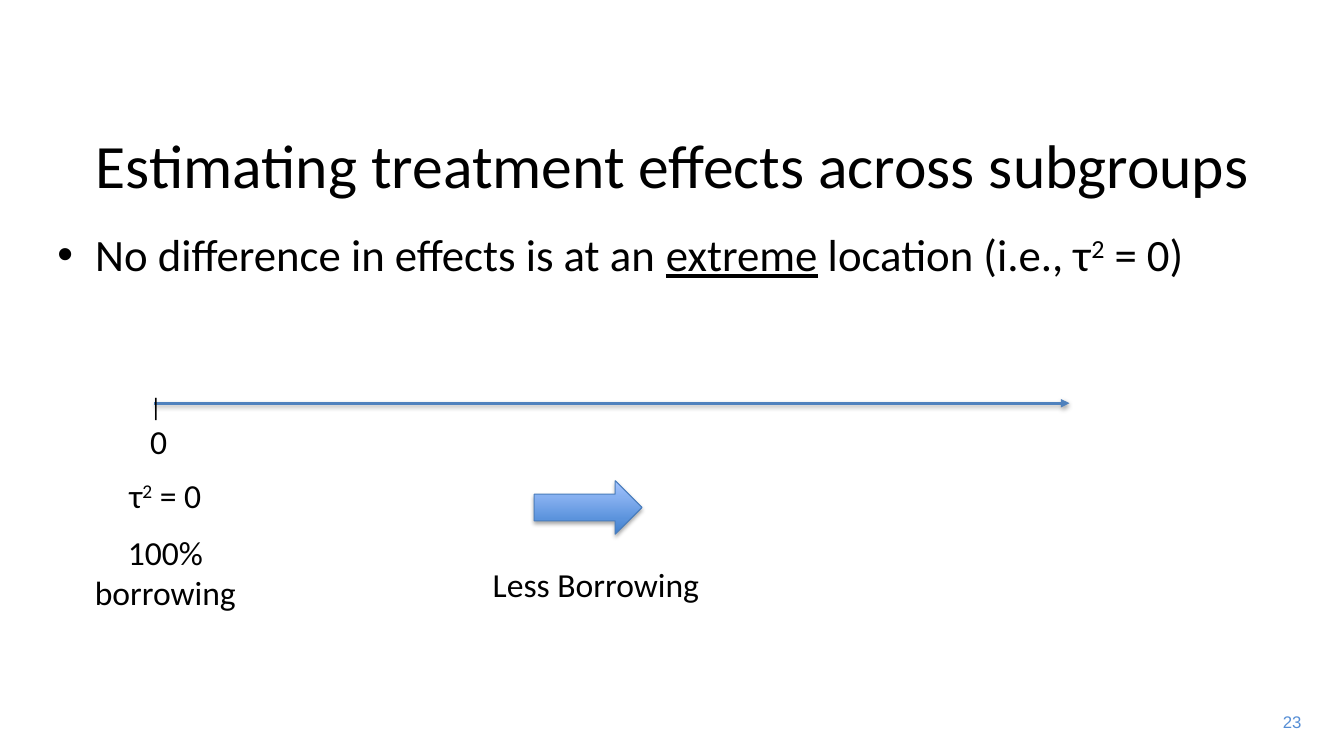
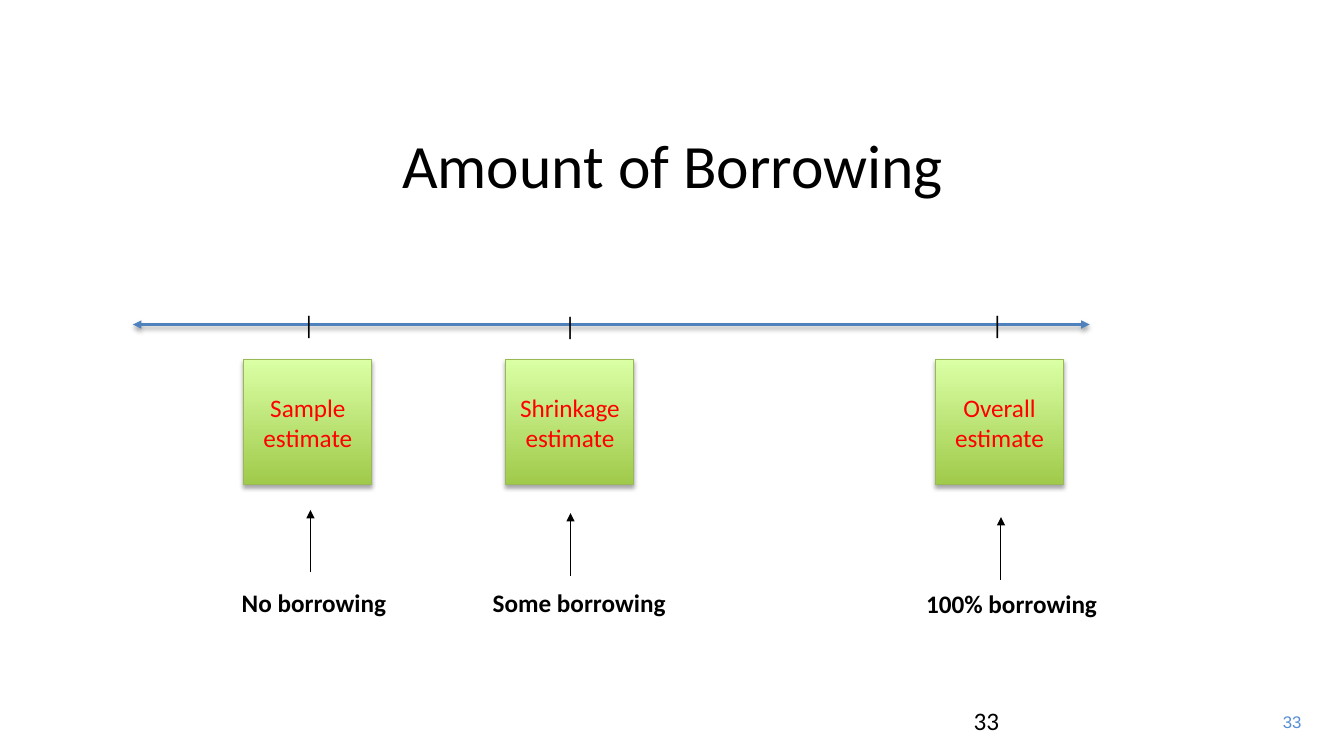
"""Build two slides on borrowing strength across subgroup estimates."""
from dataclasses import dataclass

import lxml.etree
import pptx
import pptx.dml.color
import pptx.enum.shapes
import pptx.enum.text
import pptx.oxml.ns
import pptx.presentation
import pptx.shapes.autoshape
import pptx.shapes.base
import pptx.shapes.connector
import pptx.slide
import pptx.text.text
import pptx.util

Pt = pptx.util.Pt
RGBColor = pptx.dml.color.RGBColor
ALIGN = pptx.enum.text.PP_ALIGN
MIDDLE = pptx.enum.text.MSO_ANCHOR.MIDDLE
SHAPE = pptx.enum.shapes.MSO_SHAPE
qn = pptx.oxml.ns.qn

BLACK = RGBColor(0x00, 0x00, 0x00)
RED = RGBColor(0xFF, 0x00, 0x00)
PAGE_BLUE = RGBColor(0x55, 0x8E, 0xD5)
AXIS_BLUE = RGBColor(0x4F, 0x81, 0xBD)
ARROW_DARK = RGBColor(0x3F, 0x80, 0xCE)
ARROW_LIGHT = RGBColor(0xA4, 0xC4, 0xFF)
ARROW_EDGE = RGBColor(0x4B, 0x7E, 0xBC)
BOX_DARK = RGBColor(0xA0, 0xCA, 0x4A)
BOX_LIGHT = RGBColor(0xDA, 0xFF, 0xA5)
BOX_EDGE = RGBColor(0x98, 0xB9, 0x55)


@dataclass(frozen=True)
class Area:
    left: float
    top: float
    width: float
    height: float

    def lengths(self) -> tuple[pptx.util.Length, ...]:
        return Pt(self.left), Pt(self.top), Pt(self.width), Pt(self.height)


@dataclass(frozen=True)
class Run:
    text: str
    underline: bool = False
    raised: bool = False


@dataclass(frozen=True)
class Style:
    size: float
    color: RGBColor = BLACK
    font: str = "Calibri"
    bold: bool = False
    align: ALIGN = ALIGN.LEFT


@dataclass(frozen=True)
class Estimate:
    lines: tuple[str, ...]
    box_left: float
    tick: Area
    tick_wraps: bool
    arrow_x: float
    arrow_top: float
    caption: str
    caption_area: Area


TITLE_AREA = Area(33.84, 80.64, 893.52, 72.72)
BODY_AREA = Area(33.84, 158.4, 893.52, 337.7)
PAGE_AREA = Area(907.2, 504.7, 29.5, 21.6)
BOX_TOP, BOX_WIDTH, BOX_HEIGHT = 257, 91.5, 89.3
ARROW_LENGTH = 44.6

TITLE = Style(44, align=ALIGN.CENTER)
BODY = Style(32)
LABEL = Style(24)
CENTERED_LABEL = Style(24, align=ALIGN.CENTER)
SMALL = Style(18)
CAPTION = Style(18, bold=True)
BOX_TEXT = Style(18, RED, align=ALIGN.CENTER)
PAGE = Style(12, PAGE_BLUE, "Arial", align=ALIGN.RIGHT)

ESTIMATES = (
    Estimate(("Sample estimate",), 174.2, Area(209.5, 217.4, 20.9, 29), True,
             221.8, 364.3, "No borrowing", Area(165.6, 416.2, 139.7, 29)),
    Estimate(("Shrinkage estimate",), 361.4, Area(396, 218.2, 23, 29), False,
             407.5, 366.5, "Some borrowing", Area(344.9, 416.2, 158.4, 29)),
    Estimate(("Overall", "estimate"), 668.2, Area(701.3, 217.4, 23, 29), False,
             715, 369.4, "100% borrowing", Area(654.5, 416.9, 139.7, 29)),
)


def add_runs(p: pptx.text.text._Paragraph, style: Style, *runs: Run) -> None:
    p.alignment = style.align
    for run in runs:
        r = p.add_run()
        r.text = run.text
        r.font.name = style.font
        r.font.size = Pt(style.size)
        r.font.color.rgb = style.color
        r.font.bold = style.bold
        r.font.underline = run.underline
        if run.raised:
            r.font._element.set("baseline", "30000")


def add_text(s: pptx.slide.Slide, area: Area, style: Style, *runs: Run,
             wrap: bool = True, middle: bool = False) -> pptx.text.text.TextFrame:
    tf = s.shapes.add_textbox(*area.lengths()).text_frame
    tf.word_wrap = wrap
    if middle:
        tf.vertical_anchor = MIDDLE
    add_runs(tf.paragraphs[0], style, *runs)
    return tf


def add_shadow(sp: pptx.shapes.base.BaseShape, distance: float, opacity: int) -> None:
    effects = sp._element.spPr.find(qn("a:effectLst"))
    shadow = lxml.etree.SubElement(
        effects, qn("a:outerShdw"), blurRad=str(Pt(3.15)), dist=str(Pt(distance)),
        dir="5400000", rotWithShape="0")
    color = lxml.etree.SubElement(shadow, qn("a:srgbClr"), val=str(BLACK))
    lxml.etree.SubElement(color, qn("a:alpha"), val=str(opacity * 1000))


def add_line(s: pptx.slide.Slide, start: tuple[float, float], end: tuple[float, float],
             color: RGBColor, width: float,
             heads: tuple[str, ...] = ("tailEnd",)) -> pptx.shapes.connector.Connector:
    sp = s.shapes.add_connector(pptx.enum.shapes.MSO_CONNECTOR.STRAIGHT,
                                *(Pt(v) for v in start + end))
    sp.line.color.rgb = color
    sp.line.width = Pt(width)
    for head in heads:
        lxml.etree.SubElement(sp.line._get_or_add_ln(), qn(f"a:{head}"), type="triangle")
    lxml.etree.SubElement(sp._element.spPr, qn("a:effectLst"))
    return sp


def add_axis(s: pptx.slide.Slide, left: float, right: float, y: float,
             heads: tuple[str, ...]) -> None:
    add_shadow(add_line(s, (left, y), (right, y), AXIS_BLUE, 2, heads), 1.57, 38)


def add_gradient_shape(s: pptx.slide.Slide, kind: SHAPE, area: Area, dark: RGBColor,
                       light: RGBColor, edge: RGBColor) -> pptx.shapes.autoshape.Shape:
    sp = s.shapes.add_shape(kind, *area.lengths())
    sp.fill.gradient()
    sp.fill.gradient_angle = 90
    for stop, color in zip(sp.fill.gradient_stops, (dark, light)):
        stop.color.rgb = color
    sp.line.color.rgb = edge
    sp.line.width = Pt(0.75)
    sp.shadow.inherit = False
    add_shadow(sp, 1.81, 35)
    return sp


def add_slide(prs: pptx.presentation.Presentation, title: str, page: str) -> pptx.slide.Slide:
    s = prs.slides.add_slide(prs.slide_layouts[6])
    add_text(s, PAGE_AREA, PAGE, Run(page), wrap=False)
    add_text(s, TITLE_AREA, TITLE, Run(title), middle=True)
    return s


def add_bullet(p: pptx.text.text._Paragraph) -> None:
    p.space_before = Pt(6.4)
    pPr = p._p.get_or_add_pPr()
    pPr.set("marL", str(Pt(27)))
    pPr.set("indent", str(-Pt(27)))
    lxml.etree.SubElement(pPr, qn("a:buFont"), typeface="Arial")
    lxml.etree.SubElement(pPr, qn("a:buChar"), char="•")


def build_subgroups(prs: pptx.presentation.Presentation) -> None:
    s = add_slide(prs, "Estimating treatment effects across subgroups", "23")
    squared = Run("2", raised=True)
    tf = add_text(s, BODY_AREA, BODY, Run("No difference in effects is at an "),
                  Run("extreme", underline=True), Run(" location (i.e., τ"),
                  squared, Run(" = 0)"))
    add_bullet(tf.paragraphs[0])
    add_axis(s, 110.2, 763.9, 288, ("tailEnd",))
    tf = add_text(s, Area(100.1, 275.8, 20.9, 59.8), SMALL, Run("|"))
    add_runs(tf.add_paragraph(), LABEL, Run("0"))
    tf = add_text(s, Area(32.4, 335.5, 171.4, 106.6), CENTERED_LABEL,
                  Run("τ"), squared, Run(" = 0"))
    p = tf.add_paragraph()
    p.space_before = Pt(12.2)
    add_runs(p, CENTERED_LABEL, Run("100% borrowing"))
    add_gradient_shape(s, SHAPE.RIGHT_ARROW, Area(381.6, 343.4, 77, 38.2),
                       ARROW_DARK, ARROW_LIGHT, ARROW_EDGE)
    add_text(s, Area(344.9, 399.6, 163.4, 36), LABEL, Run("Less Borrowing"), wrap=False)


def add_estimate(s: pptx.slide.Slide, item: Estimate) -> None:
    add_line(s, (item.arrow_x, item.arrow_top + ARROW_LENGTH),
             (item.arrow_x, item.arrow_top), BLACK, 0.75)
    add_text(s, item.caption_area, CAPTION, Run(item.caption))
    sp = add_gradient_shape(s, SHAPE.RECTANGLE,
                            Area(item.box_left, BOX_TOP, BOX_WIDTH, BOX_HEIGHT),
                            BOX_DARK, BOX_LIGHT, BOX_EDGE)
    tf = sp.text_frame
    tf.word_wrap = True
    tf.vertical_anchor = MIDDLE
    for i, line in enumerate(item.lines):
        p = tf.add_paragraph() if i else tf.paragraphs[0]
        add_runs(p, BOX_TEXT, Run(line))


def build_borrowing(prs: pptx.presentation.Presentation) -> None:
    s = add_slide(prs, "Amount of Borrowing", "33")
    add_text(s, Area(688.3, 500.4, 223.9, 28.8), SMALL, Run("33"), middle=True)
    for item in ESTIMATES:
        add_estimate(s, item)
    add_axis(s, 95, 778.3, 231.8, ("headEnd", "tailEnd"))
    for item in ESTIMATES:
        add_text(s, item.tick, SMALL, Run("|"), wrap=item.tick_wraps)


def main() -> None:
    prs = pptx.Presentation()
    prs.slide_width, prs.slide_height = Pt(960), Pt(540)
    build_subgroups(prs)
    build_borrowing(prs)
    prs.save("out.pptx")


if __name__ == "__main__":
    main()
